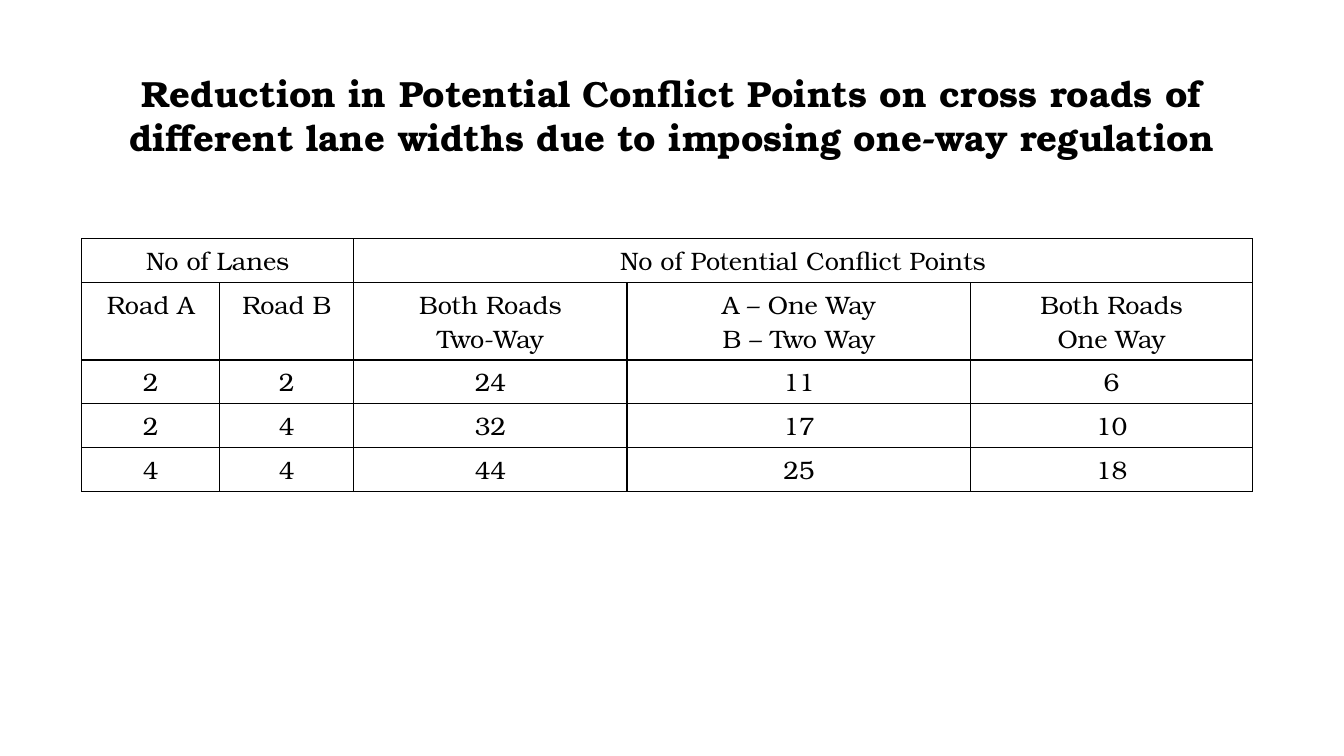
from dataclasses import dataclass

from lxml import etree
from pptx import Presentation
from pptx import util as u
from pptx.dml.color import RGBColor
from pptx.enum import text
from pptx.oxml import ns


@dataclass(frozen=True)
class Theme:
    font: str = "TeX Gyre Bonum"
    ink: str = "000000"
    paper: str = "FFFFFF"
    head: int = 26
    cell: int = 18
    rule: int = 1


THEME = Theme()
TITLE = ("Reduction in Potential Conflict Points on cross roads of "
         "different lane widths due to imposing one-way regulation")
WIDTHS = [1.37, 1.33, 2.71, 3.41, 2.79]
HEIGHTS = [0.43, 0.76, 0.43, 0.43, 0.43]
ROWS = [
    ["No of Lanes", "", "No of Potential Conflict Points", "", ""],
    ["Road A", "Road B", "Both Roads\nTwo-Way",
     "A – One Way\nB – Two Way", "Both Roads\nOne Way"],
    ["2", "2", "24", "11", "6"],
    ["2", "4", "32", "17", "10"],
    ["4", "4", "44", "25", "18"],
]
SPANS = [(0, 1), (2, 4)]


def write(frame, words, size=THEME.cell, bold=False, color=THEME.ink,
          align=text.PP_ALIGN.CENTER):
    frame.text = words
    for para in frame.paragraphs:
        para.alignment = align
        for run in para.runs:
            run.font.name = THEME.font
            run.font.size = u.Pt(size)
            run.font.bold = bold
            run.font.color.rgb = RGBColor.from_string(color)


def border(cell):
    props = cell._tc.get_or_add_tcPr()
    for spot, side in enumerate(("lnL", "lnR", "lnT", "lnB")):
        line = etree.Element(ns.qn(f"a:{side}"), w=str(u.Pt(THEME.rule)))
        fill = etree.SubElement(line, ns.qn("a:solidFill"))
        etree.SubElement(fill, ns.qn("a:srgbClr"), val=THEME.ink)
        props.insert(spot, line)


def add_title(slide):
    title = slide.shapes.title
    title.left, title.top = u.Inches(0.67), u.Inches(0.66)
    title.width, title.height = u.Inches(12), u.Inches(1.2)
    frame = title.text_frame
    frame.word_wrap = True
    frame.auto_size = text.MSO_AUTO_SIZE.NONE
    frame.vertical_anchor = text.MSO_ANCHOR.TOP
    write(frame, TITLE, size=THEME.head, bold=True)


def add_grid(slide):
    frame = slide.shapes.add_table(
        len(ROWS), len(WIDTHS), u.Inches(0.81), u.Inches(2.37),
        u.Inches(sum(WIDTHS)), u.Inches(sum(HEIGHTS)))
    table = frame.table
    table.first_row = table.horz_banding = False
    for col, width in zip(table.columns, WIDTHS):
        col.width = u.Inches(width)
    for row, height, words in zip(table.rows, HEIGHTS, ROWS):
        row.height = u.Inches(height)
        for cell, word in zip(row.cells, words):
            write(cell.text_frame, word)
            cell.fill.solid()
            cell.fill.fore_color.rgb = RGBColor.from_string(THEME.paper)
            border(cell)
    for first, last in SPANS:
        table.cell(0, first).merge(table.cell(0, last))


def main():
    deck = Presentation()
    deck.slide_width, deck.slide_height = u.Inches(13.33), u.Inches(7.5)
    slide = deck.slides.add_slide(deck.slide_layouts.get_by_name("Title Only"))
    add_title(slide)
    add_grid(slide)
    deck.save("out.pptx")


if __name__ == "__main__":
    main()
